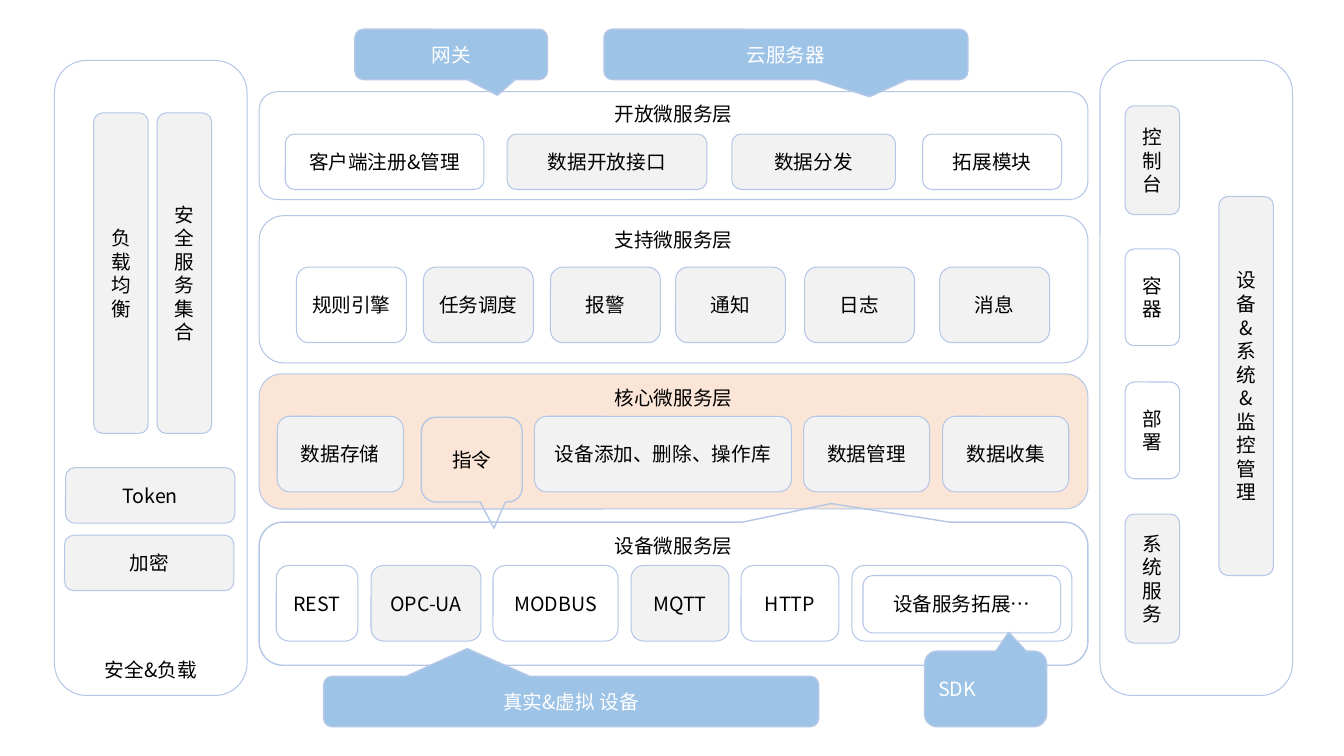
from lxml.etree import SubElement
from pptx import Presentation
from pptx.dml.color import RGBColor
from pptx.enum.shapes import MSO_SHAPE as SHAPE
from pptx.enum.text import MSO_ANCHOR as ANCHOR, PP_ALIGN as ALIGN
from pptx.oxml.ns import qn
from pptx.util import Pt

PX = 9144
FONT = "Noto Sans CJK SC"
COLORS = {
    "line": "B4C7E7",
    "gray": "F2F2F2",
    "peach": "FBE5D6",
    "blue": "9DC3E6",
    "black": "000000",
    "white": "FFFFFF",
}


def rgb(name):
    return RGBColor.from_string(COLORS[name])


def write(sp, text, color, anchor, align):
    tf = sp.text_frame
    tf.word_wrap = True
    tf.vertical_anchor = anchor
    p = tf.paragraphs[0]
    p.alignment = align
    p.font.size = Pt(14)
    p.font.color.rgb = rgb(color)
    p.font.name = FONT
    SubElement(p._p.pPr.defRPr, qn("a:ea"), typeface=FONT)
    p.add_run().text = text


def add_box(slide, box, text="", fill=None, tip=None, color="black",
            anchor=ANCHOR.MIDDLE, align=ALIGN.CENTER):
    kind = SHAPE.ROUNDED_RECTANGULAR_CALLOUT if tip else SHAPE.ROUNDED_RECTANGLE
    sp = slide.shapes.add_shape(kind, *(n * PX for n in box))
    sp.shadow.inherit = False
    if tip:
        sp.adjustments[0], sp.adjustments[1] = tip
    if fill:
        sp.fill.solid()
        sp.fill.fore_color.rgb = rgb(fill)
    else:
        sp.fill.background()
    sp.line.color.rgb = rgb("line")
    sp.line.width = Pt(1 if tip else 0.75)
    if text:
        write(sp, text, color, anchor, align)
    return sp


def add_layer(slide, box, title, row, items, fill=None, tip=None):
    x, y, w, h = box
    dy, item_h = row
    add_box(slide, box, title, fill, tip, anchor=ANCHOR.TOP)
    for dx, item_w, text, item_fill in items:
        add_box(slide, (x + dx, y + dy, item_w, item_h), text, item_fill)


def add_open_layer(slide, box):
    add_layer(slide, box, "开放微服务层", (42, 55), [
        (26, 197, "客户端注册&管理", None),
        (246, 198, "数据开放接口", "gray"),
        (469, 162, "数据分发", "gray"),
        (658, 138, "拓展模块", None),
    ])


def add_support_layer(slide, box):
    add_layer(slide, box, "支持微服务层", (51, 75), [
        (37, 109, "规则引擎", None),
        (163, 109, "任务调度", "gray"),
        (289, 109, "报警", "gray"),
        (413, 109, "通知", "gray"),
        (541, 109, "日志", "gray"),
        (675, 109, "消息", "gray"),
    ])


def add_core_layer(slide, box):
    x, y, w, h = box
    add_layer(slide, box, "核心微服务层", (42, 75), [
        (18, 125, "数据存储", "gray"),
        (273, 255, "设备添加、删除、操作库", "gray"),
        (540, 125, "数据管理", "gray"),
        (678, 125, "数据收集", "gray"),
    ], fill="peach")
    add_box(slide, (x + 161, y + 43, 100, 84), "指令", tip=(0.22, 0.81))


def add_device_layer(slide, box):
    x, y, w, h = box
    add_layer(slide, box, "设备微服务层", (43, 75), [
        (17, 81, "REST", None),
        (111, 109, "OPC-UA", "gray"),
        (232, 124, "MODBUS", None),
        (369, 97, "MQTT", "gray"),
        (478, 97, "HTTP", None),
        (588, 218, "设备服务拓展…", None),
    ], tip=(0.19, -0.63))
    add_box(slide, (x + 599, y + 53, 196, 57))


def add_security_panel(slide, box):
    x, y, w, h = box
    add_box(slide, box, "安全&负载", anchor=ANCHOR.BOTTOM)
    for dx, text in ((39, "负载均衡"), (102, "安全服务集合")):
        add_box(slide, (x + dx, y + 52, 54, 318), text, "gray")
    for dx, dy, text in ((11, 404, "Token"), (10, 471, "加密")):
        add_box(slide, (x + dx, y + dy, 168, 55), text, "gray")


def add_management_panel(slide, box):
    x, y, w, h = box
    add_box(slide, box)
    for dx, dy, item_h, text, fill in (
        (25, 45, 108, "控制台", "gray"),
        (25, 187, 96, "容器", None),
        (25, 319, 96, "部署", None),
        (25, 450, 128, "系统服务", "gray"),
        (118, 135, 376, "设备&系统&监控 管理", "gray"),
    ):
        add_box(slide, (x + dx, y + dy, 54, item_h), text, fill)


def add_external_callouts(slide):
    for box, text, tip, align in (
        ((352, 29, 191, 50), "网关", (0.24, 0.81), ALIGN.CENTER),
        ((599, 29, 361, 50), "云服务器", (0.23, 0.84), ALIGN.CENTER),
        ((321, 671, 491, 50), "真实&虚拟 设备", (-0.21, -1.05), ALIGN.CENTER),
        ((917, 646, 121, 75), "SDK", (0.19, -0.75), ALIGN.LEFT),
    ):
        add_box(slide, box, text, "blue", tip, "white", align=align)


def main():
    prs = Presentation()
    prs.slide_width, prs.slide_height = 1333 * PX, 750 * PX
    slide = prs.slides.add_slide(prs.slide_layouts[6])
    add_core_layer(slide, (257, 371, 822, 134))
    add_device_layer(slide, (257, 518, 822, 142))
    add_open_layer(slide, (257, 91, 822, 107))
    add_support_layer(slide, (257, 214, 822, 146))
    add_security_panel(slide, (54, 60, 191, 630))
    add_management_panel(slide, (1091, 60, 191, 630))
    add_external_callouts(slide)
    prs.save("out.pptx")


if __name__ == "__main__":
    main()
